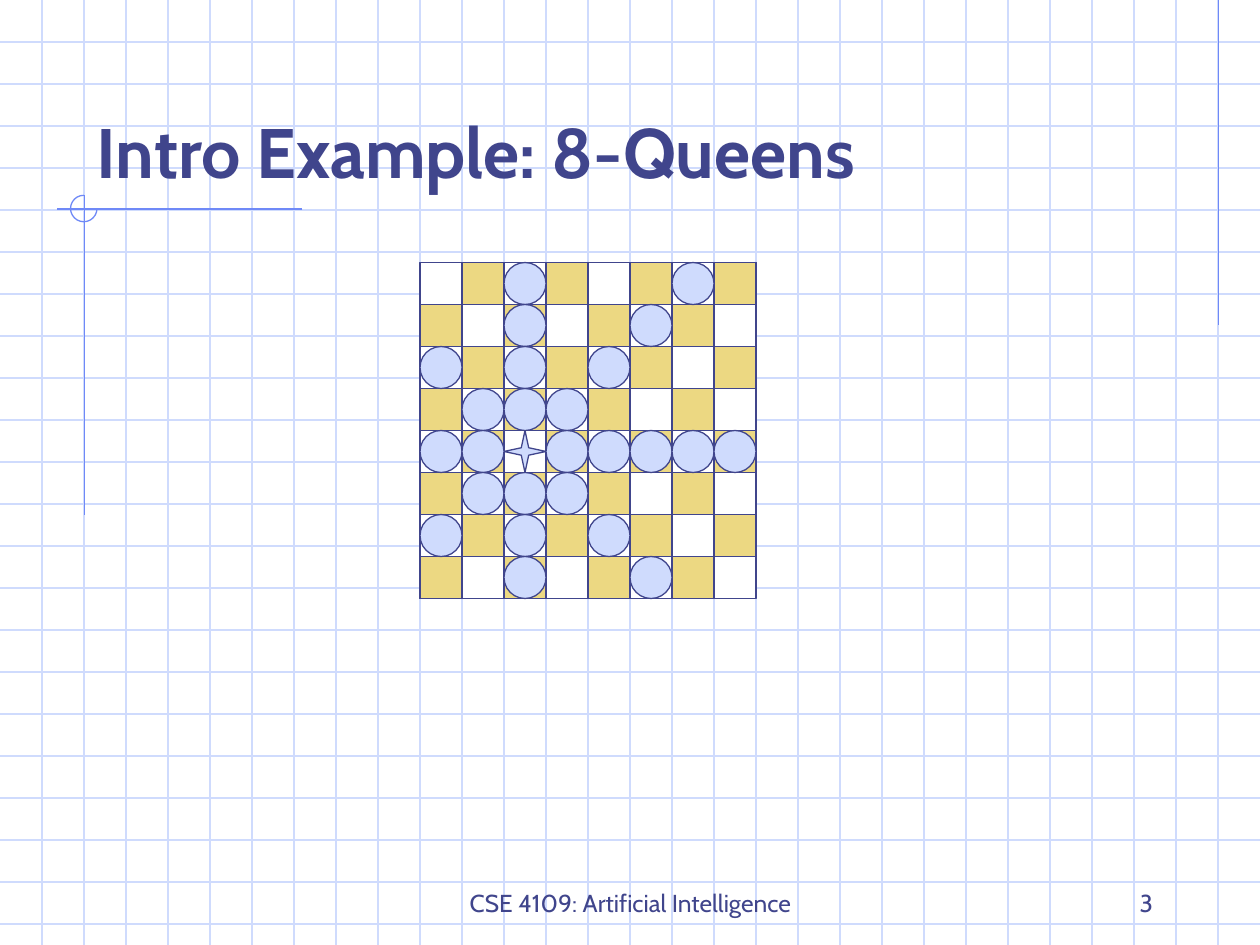
from dataclasses import dataclass
from itertools import product

from lxml.etree import SubElement
from pptx import Presentation
from pptx.dml.color import RGBColor
from pptx.enum.shapes import MSO_CONNECTOR, MSO_SHAPE
from pptx.enum.text import MSO_ANCHOR, PP_ALIGN
from pptx.oxml.ns import qn
from pptx.util import Inches, Pt

WIDTH, HEIGHT = 10, 7.5
STEP = 1 / 3  # squared paper and chess squares share this pitch
BOARD_SIZE = 8
BOARD_LEFT, BOARD_TOP = 10 * STEP, 6.25 * STEP
QUEEN_ROW, QUEEN_COLUMN = 4, 2

NAVY, BLUE, PALE_BLUE = "40458C", "6F89F7", "CFDBFD"
SAND, WHITE = "ECD882", "FFFFFF"


@dataclass
class Line:
    x1: float
    y1: float
    x2: float
    y2: float
    color: str


@dataclass
class Label:
    text: str
    left: float
    top: float
    width: float
    height: float
    size: int
    align: PP_ALIGN
    bold: bool = False


def rgb(color: str) -> RGBColor:
    return RGBColor.from_string(color)


def draw_line(slide, line: Line) -> None:
    connector = slide.shapes.add_connector(
        MSO_CONNECTOR.STRAIGHT,
        Inches(line.x1), Inches(line.y1), Inches(line.x2), Inches(line.y2))
    connector.line.color.rgb = rgb(line.color)
    connector.line.width = Pt(0.75)
    SubElement(connector._element.spPr, qn("a:effectLst"))


def draw_shape(slide, kind: MSO_SHAPE, left: float, top: float, size: float,
               fill: str | None, outline: str = NAVY):
    shape = slide.shapes.add_shape(
        kind, Inches(left), Inches(top), Inches(size), Inches(size))
    shape.shadow.inherit = False
    if fill:
        shape.fill.solid()
        shape.fill.fore_color.rgb = rgb(fill)
    else:
        shape.fill.background()
    shape.line.color.rgb = rgb(outline)
    shape.line.width = Pt(0.75)
    return shape


def draw_on_square(slide, kind: MSO_SHAPE, row: int, column: int,
                   fill: str) -> None:
    draw_shape(slide, kind, BOARD_LEFT + column * STEP,
               BOARD_TOP + row * STEP, STEP, fill)


def draw_label(slide, label: Label) -> None:
    box = slide.shapes.add_textbox(
        Inches(label.left), Inches(label.top),
        Inches(label.width), Inches(label.height))
    frame = box.text_frame
    frame.word_wrap = True
    frame.vertical_anchor = MSO_ANCHOR.BOTTOM
    paragraph = frame.paragraphs[0]
    paragraph.text = label.text
    paragraph.alignment = label.align
    paragraph.font.name = "Cabin"
    paragraph.font.size = Pt(label.size)
    paragraph.font.bold = label.bold
    paragraph.font.color.rgb = rgb(NAVY)


def is_attacked(row: int, column: int) -> bool:
    rows, columns = abs(row - QUEEN_ROW), abs(column - QUEEN_COLUMN)
    return (rows, columns) != (0, 0) and (
        rows == 0 or columns == 0 or rows == columns)


def draw_background(slide) -> None:
    # Squared paper
    for i in range(1, 23):
        draw_line(slide, Line(0, i * STEP, WIDTH, i * STEP, PALE_BLUE))
    for i in range(1, 30):
        draw_line(slide, Line(i * STEP, 0, i * STEP, HEIGHT, PALE_BLUE))

    # Accent lines and the three-quarter circle where they cross
    for line in (Line(9.67, 0, 9.67, 2.58, BLUE),
                 Line(2.4, 1.66, 0.45, 1.66, BLUE),
                 Line(0.67, 1.55, 0.67, 4.09, BLUE)):
        draw_line(slide, line)
    arc = draw_shape(slide, MSO_SHAPE.ARC, 0.56, 1.55, 0.21, None, BLUE)
    arc.adjustments[0] = 0
    arc.adjustments[1] = 162  # 270 degrees, in units of 100000/60000 degree


def draw_board(slide) -> None:
    draw_shape(slide, MSO_SHAPE.RECTANGLE, BOARD_LEFT, BOARD_TOP,
               BOARD_SIZE * STEP, WHITE)
    squares = list(product(range(BOARD_SIZE), repeat=2))
    for row, column in squares:
        if (row + column) % 2:
            draw_on_square(slide, MSO_SHAPE.RECTANGLE, row, column, SAND)

    # The queen and every square she attacks
    draw_on_square(slide, MSO_SHAPE.STAR_4_POINT, QUEEN_ROW, QUEEN_COLUMN,
                   PALE_BLUE)
    for row, column in squares:
        if is_attacked(row, column):
            draw_on_square(slide, MSO_SHAPE.OVAL, row, column, PALE_BLUE)


def main() -> None:
    presentation = Presentation()
    presentation.slide_width = Inches(WIDTH)
    presentation.slide_height = Inches(HEIGHT)
    slide = presentation.slides.add_slide(presentation.slide_layouts[6])

    draw_background(slide)
    draw_board(slide)

    # Title and footer
    for label in (
        Label("Intro Example: 8-Queens", 0.67, 0.33, 8.5, 1.25, 40,
              PP_ALIGN.LEFT, bold=True),
        Label("CSE 4109: Artificial Intelligence", 3.42, 6.83, 3.17, 0.5, 14,
              PP_ALIGN.CENTER),
        Label("3", 7.17, 6.83, 2.08, 0.5, 14, PP_ALIGN.RIGHT),
    ):
        draw_label(slide, label)

    presentation.save("out.pptx")


if __name__ == "__main__":
    main()
